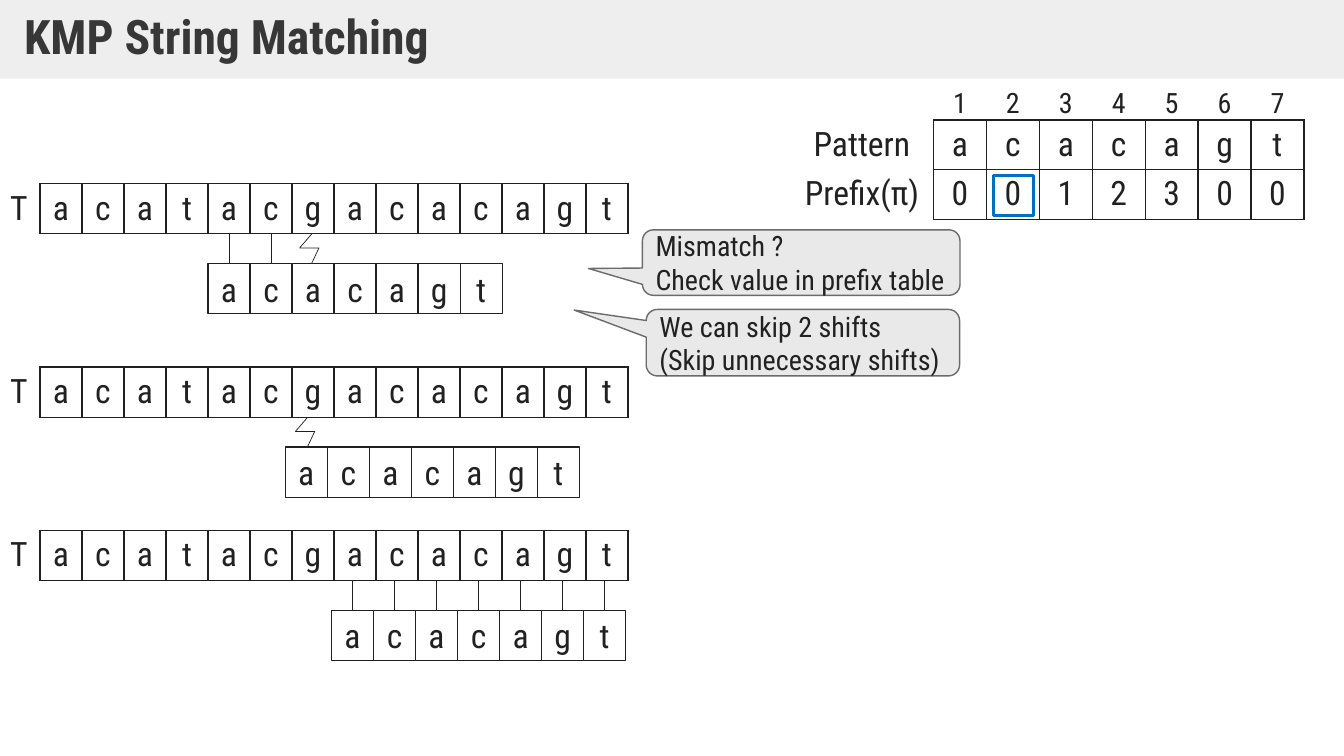
from dataclasses import dataclass

from lxml import etree
from pptx import Presentation, util as u
from pptx.dml.color import RGBColor
from pptx.enum import shapes, text
from pptx.oxml import ns

FONT = "Roboto Condensed"
INK = RGBColor(0x21, 0x21, 0x21)
TITLE_INK = RGBColor(0x37, 0x37, 0x37)
BAND = RGBColor(0xDF, 0xDF, 0xDF)
BUBBLE = RGBColor(0xE9, 0xE9, 0xE9)
BUBBLE_EDGE = RGBColor(0x6B, 0x6B, 0x6B)
HIGHLIGHT = RGBColor(0x00, 0x70, 0xC0)

TEXT = "acatacgacacagt"
PATTERN = "acacagt"
PREFIX = "0012300"

# Grid: one letter wide, one letter box high.
GRID_LEFT = u.Inches(-0.02)
COLUMN = u.Inches(6.25) / (len(TEXT) + 1)
ROW = u.Inches(0.5)
PATTERN_DROP = 1.59
CENTER = text.PP_ALIGN.CENTER


@dataclass(frozen=True)
class Area:
    """A rectangle in grid columns and rows."""
    column: float
    row: float
    columns: float
    rows: float

    def box(self) -> tuple[int, int, int, int]:
        return (across(self.column), down(self.row),
                round(self.columns * COLUMN), round(self.rows * ROW))


@dataclass(frozen=True)
class Step:
    """One alignment of the pattern below the text."""
    row: float
    shift: float
    matches: int
    bolt_column: float | None = None


@dataclass(frozen=True)
class Callout:
    area: Area
    tail: tuple[float, float]
    lines: tuple[str, ...]


STEPS = (
    Step(row=3.64, shift=5, matches=2, bolt_column=7.18),
    Step(row=7.28, shift=6.84, matches=0, bolt_column=7.08),
    Step(row=10.52, shift=7.94, matches=7),
)
CALLOUTS = (
    Callout(Area(15.34, 4.56, 7.56, 1.3), (-0.67, 0.09),
            ("Mismatch ?", "Check value in prefix table")),
    Callout(Area(15.43, 6.14, 7.46, 1.32), (-0.73, -0.49),
            ("We can skip 2 shifts", "(Skip unnecessary shifts)")),
)
PREFIX_TABLE = Area(18.86, 1.4, 12.23, 2.94)
PREFIX_COLUMN = 1.26
HIGHLIGHT_AREA = Area(23.69, 3.48, 0.96, 0.8)
BOLT = ((0.29, 0), (0, 0.28), (0.46, 0.28), (0.29, 0.58))


def across(column: float) -> int:
    return round(GRID_LEFT + column * COLUMN)


def down(row: float) -> int:
    return round(row * ROW)


def write(frame, lines, size: float, align=text.PP_ALIGN.LEFT, color=INK, bold=False) -> None:
    for index, line in enumerate(lines):
        para = frame.add_paragraph() if index else frame.paragraphs[0]
        para.alignment = align
        span = para.add_run()
        span.text = line
        span.font.name = FONT
        span.font.size = u.Pt(size)
        span.font.bold = bold
        span.font.color.rgb = color


def outline(shape, color: RGBColor, width: float) -> None:
    shape.shadow.inherit = False
    shape.line.color.rgb = color
    shape.line.width = u.Pt(width)


def set_borders(cell, edges: str) -> None:
    """Draw the named edges (of L, R, T, B) and clear the others."""
    properties = cell._tc.get_or_add_tcPr()
    for index, edge in enumerate("LRTB"):
        line = etree.Element(ns.qn(f"a:ln{edge}"), w=str(u.Pt(1)))
        if edge in edges:
            fill = etree.SubElement(line, ns.qn("a:solidFill"))
            etree.SubElement(fill, ns.qn("a:srgbClr"), val=str(INK))
        else:
            etree.SubElement(line, ns.qn("a:noFill"))
        properties.insert(index, line)


def add_plain_table(page, area: Area, rows: int, columns: int):
    table = page.shapes.add_table(rows, columns, *area.box()).table
    table.first_row = table.horz_banding = False
    return table


def fill_cell(cell, value: str, edges: str, size: float = 24) -> None:
    cell.fill.background()
    cell.vertical_anchor = text.MSO_ANCHOR.MIDDLE
    if value:
        write(cell.text_frame, [value], size, CENTER)
    set_borders(cell, edges)


def add_title(page, deck) -> None:
    title = page.shapes.title
    title.left, title.top = 0, 0
    title.width, title.height = deck.slide_width, u.Inches(0.78)
    title.fill.solid()
    title.fill.fore_color.rgb = BAND
    color = title._element.spPr.find(".//" + ns.qn("a:srgbClr"))
    etree.SubElement(color, ns.qn("a:alpha"), val="50000")
    frame = title.text_frame
    frame.auto_size = text.MSO_AUTO_SIZE.NONE
    frame.vertical_anchor = text.MSO_ANCHOR.MIDDLE
    frame.margin_left = frame.margin_right = u.Inches(0.24)
    frame.margin_top = frame.margin_bottom = u.Inches(0.12)
    write(frame, ["KMP String Matching"], 34, color=TITLE_INK, bold=True)
    frame.paragraphs[0].line_spacing = 0.9


def add_prefix_table(page) -> None:
    numbers = [str(place) for place in range(1, len(PATTERN) + 1)]
    rows = (["", *numbers], ["Pattern", *PATTERN], ["Prefix(π)", *PREFIX])
    table = add_plain_table(page, PREFIX_TABLE, len(rows), len(numbers) + 1)
    for index, column in enumerate(table.columns):
        label_width = PREFIX_TABLE.columns - PREFIX_COLUMN * len(PATTERN)
        column.width = round((PREFIX_COLUMN if index else label_width) * COLUMN)
    for r, values in enumerate(rows):
        for c, value in enumerate(values):
            cell = table.cell(r, c)
            if r:
                fill_cell(cell, value, "LRTB" if c else "R")
            else:
                fill_cell(cell, value, "B" if c else "", size=20)
                cell.vertical_anchor = text.MSO_ANCHOR.BOTTOM
                cell.margin_bottom = 0
    mark = page.shapes.add_shape(shapes.MSO_SHAPE.RECTANGLE, *HIGHLIGHT_AREA.box())
    mark.fill.background()
    outline(mark, HIGHLIGHT, 2.25)


def add_letter_box(page, letter: str, area: Area):
    box = page.shapes.add_shape(shapes.MSO_SHAPE.RECTANGLE, *area.box())
    box.fill.background()
    outline(box, INK, 0.75)
    box.text_frame.auto_size = text.MSO_AUTO_SIZE.SHAPE_TO_FIT_TEXT
    box.text_frame.vertical_anchor = text.MSO_ANCHOR.MIDDLE
    write(box.text_frame, [letter], 24, CENTER)
    return box


def add_match_line(page, box, text_bottom: int) -> None:
    middle = box.left + box.width // 2
    line = page.shapes.add_connector(shapes.MSO_CONNECTOR.STRAIGHT,
                                     middle, box.top, middle, text_bottom)
    line.begin_connect(box, 0)
    line.line.color.rgb = INK
    line.line.width = u.Pt(0.5)
    etree.SubElement(line._element.spPr, ns.qn("a:effectLst"))


def add_bolt(page, column: float, row: float) -> None:
    points = [(across(column + x), down(row + y)) for x, y in BOLT]
    builder = page.shapes.build_freeform(*points[0])
    builder.add_line_segments(points[1:], close=False)
    bolt = builder.convert_to_shape()
    bolt.fill.background()
    outline(bolt, INK, 0.5)


def add_step(page, step: Step) -> None:
    letters = "T" + TEXT
    table = add_plain_table(page, Area(0, step.row, len(letters), 1), 1, len(letters))
    for index, letter in enumerate(letters):
        fill_cell(table.cell(0, index), letter, "LRTB" if index else "R")
    for index, letter in enumerate(PATTERN):
        area = Area(step.shift + index, step.row + PATTERN_DROP, 1, 1)
        box = add_letter_box(page, letter, area)
        if index < step.matches:
            add_match_line(page, box, down(step.row + 1))
    if step.bolt_column is not None:
        add_bolt(page, step.bolt_column, step.row + 1)


def add_callout(page, callout: Callout) -> None:
    bubble = page.shapes.add_shape(shapes.MSO_SHAPE.ROUNDED_RECTANGULAR_CALLOUT,
                                   *callout.area.box())
    bubble.adjustments[0], bubble.adjustments[1] = callout.tail
    bubble.fill.solid()
    bubble.fill.fore_color.rgb = BUBBLE
    outline(bubble, BUBBLE_EDGE, 1)
    bubble.text_frame.vertical_anchor = text.MSO_ANCHOR.MIDDLE
    write(bubble.text_frame, callout.lines, 20)


def main() -> None:
    deck = Presentation()
    deck.slide_width, deck.slide_height = u.Inches(13.33), u.Inches(7.5)
    page = deck.slides.add_slide(deck.slide_layouts.get_by_name("Title Only"))
    add_title(page, deck)
    add_prefix_table(page)
    for step in STEPS:
        add_step(page, step)
    for callout in CALLOUTS:
        add_callout(page, callout)
    deck.save("out.pptx")


if __name__ == "__main__":
    main()
